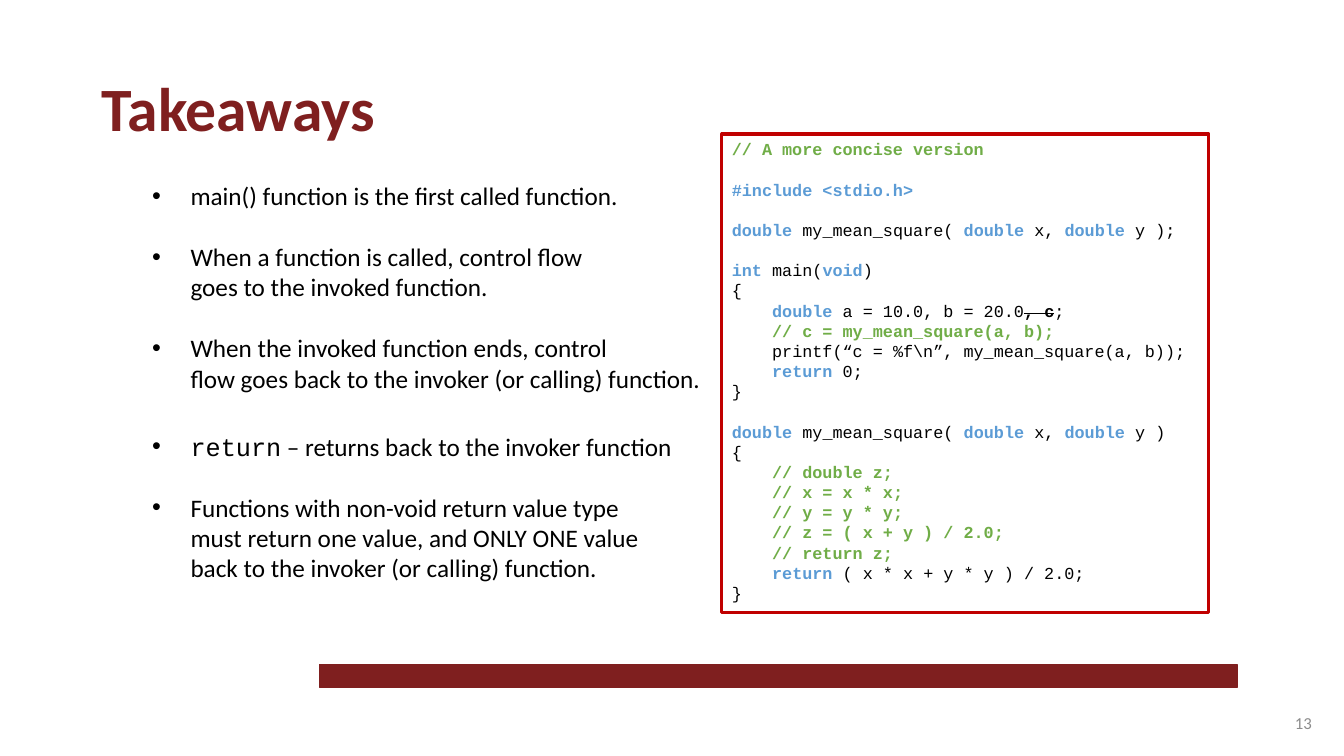
from lxml.etree import SubElement
from pptx import Presentation
from pptx.dml.color import RGBColor as Color
from pptx.enum.shapes import MSO_SHAPE as Shape
from pptx.enum.text import MSO_ANCHOR as Anchor, MSO_AUTO_SIZE as AutoSize, PP_ALIGN as Align
from pptx.oxml.ns import qn
from pptx.util import Inches, Pt

# Content
TITLE = "Takeaways"
PAGE_NUMBER = "13"

BULLETS = [
    [("main() function is the first called function.", "body")],
    [("When a function is called, control flow\ngoes to the invoked function.", "body")],
    [("When the invoked function ends, control\n"
      "flow goes back to the invoker (or calling) function.", "body")],
    [("return", "body_code"), (" – returns back to the invoker function", "body")],
    [("Functions with non-void return value type\n"
      "must return one value, and ONLY ONE value\n"
      "back to the invoker (or calling) function.", "body")],
]

SIGNATURE = [("double ", "keyword"), ("my_mean_square( ", "code"), ("double ", "keyword"),
             ("x, ", "code"), ("double ", "keyword")]

# Blocks of code lines, each line as (indent level, spans)
CODE = [
    [(0, [("// A more concise version", "comment")])],
    [(0, [("#include <stdio.h>", "keyword")])],
    [(0, [*SIGNATURE, ("y );", "code")])],
    [
        (0, [("int", "keyword"), (" main(", "code"), ("void", "keyword"), (")", "code")]),
        (0, [("{", "code")]),
        (1, [("double ", "keyword"), ("a = 10.0, b = 20.0", "code"),
             (", c", "struck"), (";", "code")]),
        (1, [("// c = my_mean_square(a, b);", "comment")]),
        (1, [("printf(“c = %f\\n”, my_mean_square(a, b));", "code")]),
        (1, [("return", "keyword"), (" 0;", "code")]),
        (0, [("}", "code")]),
    ],
    [
        (0, [*SIGNATURE, ("y )", "code")]),
        (0, [("{", "code")]),
        (1, [("// double z;", "comment")]),
        (1, [("// x = x * x;", "comment")]),
        (1, [("// y = y * y;", "comment")]),
        (1, [("// z = ( x + y ) / 2.0;", "comment")]),
        (1, [("// return z;", "comment")]),
        (1, [("return", "keyword"), (" ( x * x + y * y ) / 2.0;", "code")]),
        (0, [("}", "code")]),
    ],
]


# Theme: colours, and text styles as (font, size, colour, bold)
class Theme:
    maroon, red, white = "7F1F1F", "C00000", "FFFFFF"
    styles = {
        "title": ("Calibri", 44, maroon, True),
        "body": ("Calibri", 18, "000000", False),
        "body_code": ("Courier New", 18, "000000", False),
        "code": ("Courier New", 12, "000000", False),
        "struck": ("Courier New", 12, "000000", True),
        "keyword": ("Courier New", 12, "5B9BD5", True),
        "comment": ("Courier New", 12, "70AD47", True),
        "number": ("Calibri", 12, "8C8C8C", False),
    }
    bullet_gap, wide_gap = 22, 27
    code_pitch, code_indent = 14.4, 0.4


# Layout: left, top, width, height in inches
WIDTH, HEIGHT = 13.33, 7.5
MARGIN = 0.91
TITLE_AREA = (MARGIN, 0.64, 2.94, 0.84)
BODY_AREA = (MARGIN, 1.74, 9.67, 4.47)
CODE_AREA = (7.16, 1.33, 4.83, 4.75)
BAR_AREA = (3.17, 6.59, 9.1, 0.23)
NUMBER_AREA = (10.11, 6.97, 3, 0.4)


def area(box):
    return [Inches(length) for length in box]


def place(shape, box):
    shape.left, shape.top, shape.width, shape.height = area(box)


def write(para, spans):
    for text, style in spans:
        name, size, color, bold = Theme.styles[style]
        for index, line in enumerate(text.split("\n")):
            if index:
                para.add_line_break()
            span = para.add_run()
            span.text = line
            span.font.name, span.font.size, span.font.bold = name, Pt(size), bold
            span.font.color.rgb = Color.from_string(color)
            if style == "struck":
                span.font._element.set("strike", "sngStrike")
        # Line breaks carry the size of their text
        for line_break in para._p.findall(qn("a:br")):
            if line_break.find(qn("a:rPr")) is None:
                SubElement(line_break, qn("a:rPr"), sz=str(size * 100))


def indent(para, left, first=0):
    properties = para._p.get_or_add_pPr()
    properties.set("marL", str(Inches(left)))
    properties.set("indent", str(Inches(first)))


def paragraph(frame, index):
    return frame.add_paragraph() if index else frame.paragraphs[0]


def add_rectangle(page, box, fill, line, weight):
    shape = page.shapes.add_shape(Shape.RECTANGLE, *area(box))
    shape.shadow.inherit = False
    shape.fill.solid()
    shape.fill.fore_color.rgb = Color.from_string(fill)
    shape.line.color.rgb = Color.from_string(line)
    shape.line.width = Pt(weight)
    return shape


def add_title(page):
    title = page.shapes.title
    place(title, TITLE_AREA)
    frame = title.text_frame
    frame.word_wrap, frame.auto_size = False, AutoSize.NONE
    frame.vertical_anchor = Anchor.TOP
    para = frame.paragraphs[0]
    para.alignment = Align.LEFT
    write(para, [(TITLE, "title")])


def add_bullets(page):
    body = page.placeholders[1]
    place(body, BODY_AREA)
    frame = body.text_frame
    frame.auto_size = AutoSize.NONE
    for index, spans in enumerate(BULLETS):
        para = paragraph(frame, index)
        has_code = spans[0][1] == "body_code"
        gap = Theme.wide_gap if has_code else Theme.bullet_gap
        para.space_before = Pt(gap if index else 0)
        indent(para, 0.88, -0.38)
        write(para, spans)


def add_code(page):
    frame = add_rectangle(page, CODE_AREA, Theme.white, Theme.red, 2.25).text_frame
    frame.word_wrap, frame.vertical_anchor = True, Anchor.TOP
    for block_index, block in enumerate(CODE):
        for line_index, (level, spans) in enumerate(block):
            para = paragraph(frame, block_index + line_index)
            para.alignment = Align.LEFT
            para.line_spacing = Pt(Theme.code_pitch)
            # One empty line's height separates the blocks
            starts_block = block_index and not line_index
            para.space_before = Pt(Theme.code_pitch if starts_block else 0)
            indent(para, level * Theme.code_indent)
            write(para, spans)


def add_footer(page):
    add_rectangle(page, BAR_AREA, Theme.maroon, Theme.maroon, 1)
    frame = page.shapes.add_textbox(*area(NUMBER_AREA)).text_frame
    frame.word_wrap, frame.vertical_anchor = True, Anchor.MIDDLE
    para = frame.paragraphs[0]
    para.alignment = Align.RIGHT
    write(para, [(PAGE_NUMBER, "number")])


def main():
    deck = Presentation()
    deck.slide_width, deck.slide_height = Inches(WIDTH), Inches(HEIGHT)
    page = deck.slides.add_slide(deck.slide_layouts[1])
    add_title(page)
    add_bullets(page)
    add_code(page)
    add_footer(page)
    deck.save("out.pptx")


if __name__ == "__main__":
    main()
